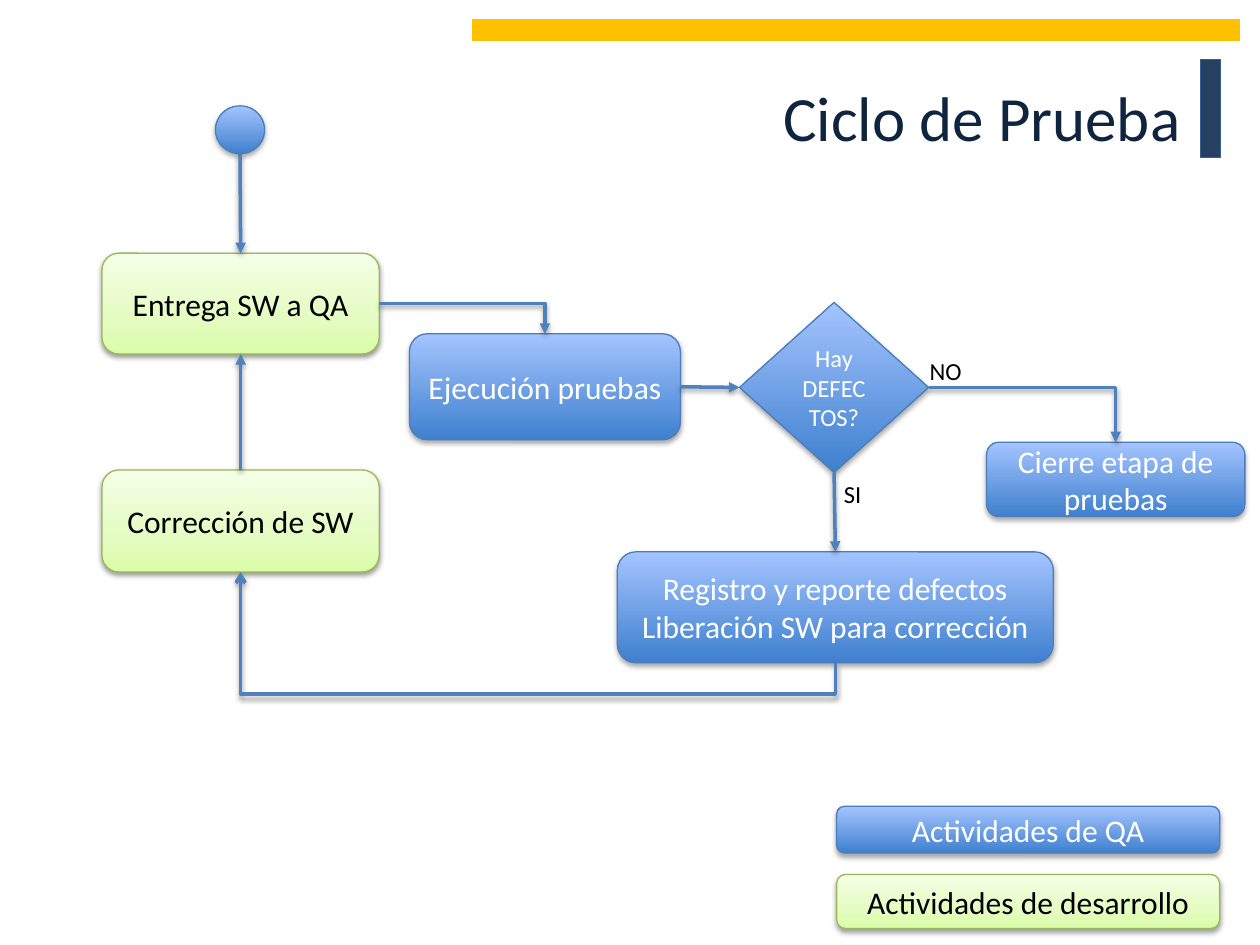
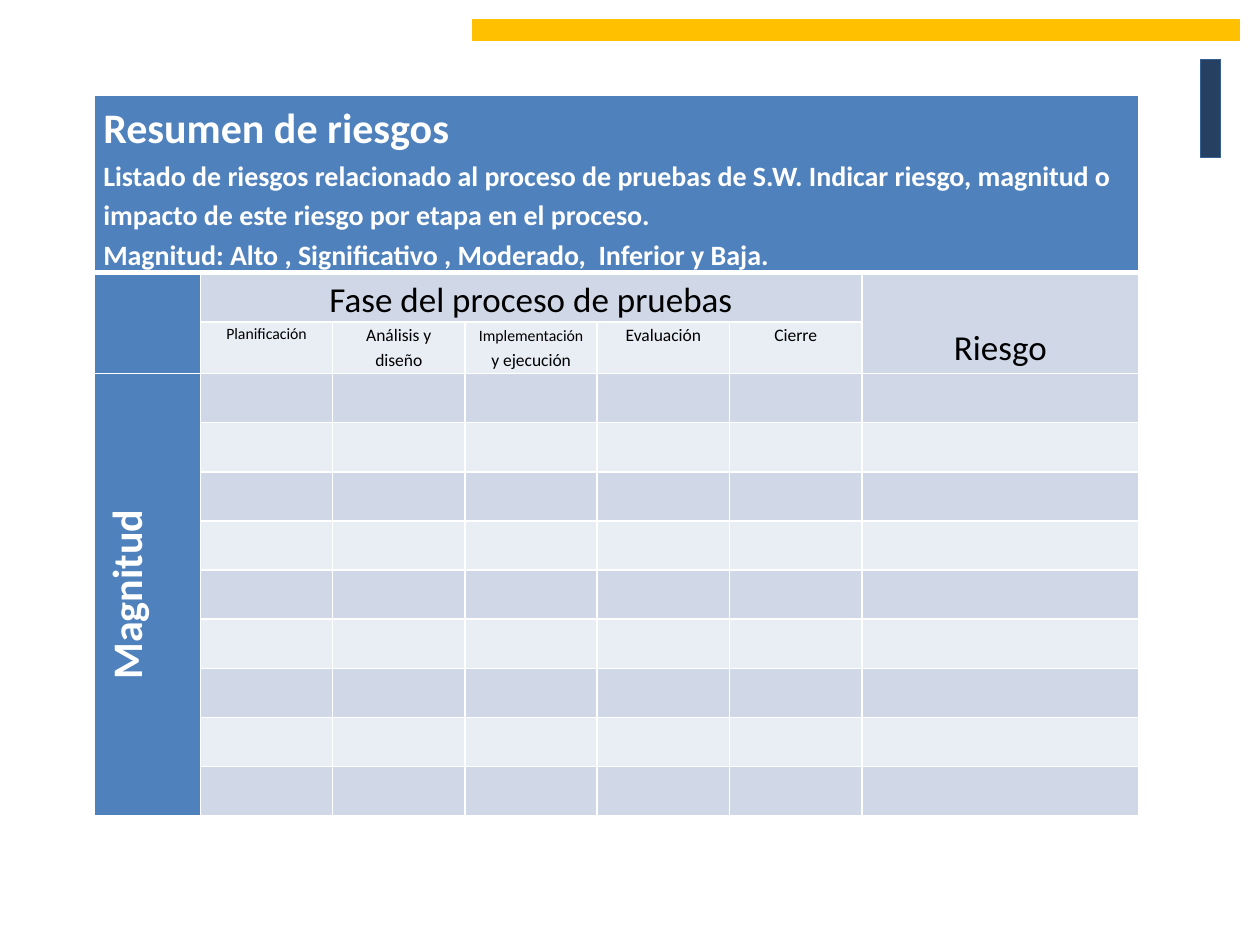
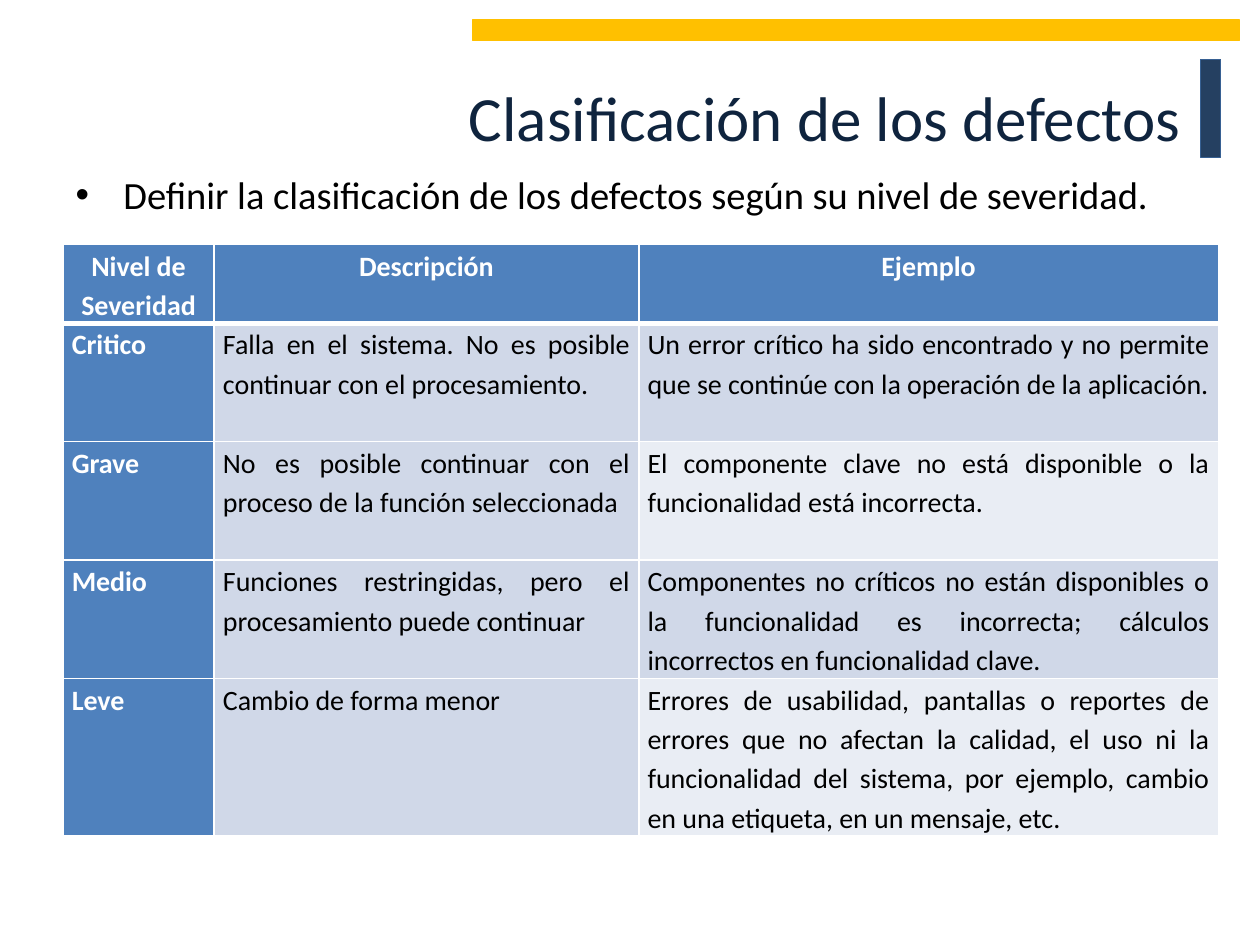
from dataclasses import dataclass

from lxml.etree import SubElement
from pptx import Presentation
from pptx.dml.color import RGBColor
from pptx.enum.shapes import MSO_CONNECTOR, MSO_SHAPE
from pptx.enum.text import MSO_ANCHOR, MSO_AUTO_SIZE, PP_ALIGN
from pptx.oxml.ns import qn
from pptx.util import Inches, Pt

TOP, LEFT, BOTTOM, RIGHT = range(4)


@dataclass(frozen=True)
class BoxStyle:
    stops: tuple
    line: str
    text: str
    shadow_alpha: int
    shadow_distance: float


@dataclass(frozen=True)
class Theme:
    font: str = "Calibri"
    title: str = "0F243E"
    ink: str = "000000"
    white: str = "FFFFFF"
    accent: str = "254061"
    accent_line: str = "376092"
    band: str = "FFC000"
    flow: str = "4F81BD"
    table_head: str = "4F81BD"
    table_dark: str = "D0D8E8"
    table_light: str = "E9EDF4"
    title_size: int = 36
    heading_size: int = 24
    bullet_size: int = 22
    group_size: int = 20
    box_size: int = 18
    cell_size: int = 16
    label_size: int = 14
    phase_size: int = 10
    long_phase_size: int = 9
    testing: BoxStyle = BoxStyle(
        ((0, "3F80CE"), (100, "A4C4FF")), "4B7EBC", "FFFFFF", 35, 1.8)
    development: BoxStyle = BoxStyle(
        ((0, "DAFDA7"), (35, "E4FCC2"), (100, "F5FFE7")), "98B955", "000000", 38, 1.6)


THEME = Theme()


def rgb(color):
    return RGBColor.from_string(color)


def add_color(parent, color):
    return SubElement(parent, qn("a:srgbClr"), val=color)


def add_shadow(effects, alpha, distance):
    shadow = SubElement(effects, qn("a:outerShdw"), blurRad=str(Pt(3.1)),
                        dist=str(Pt(distance)), dir="5400000", rotWithShape="0")
    SubElement(add_color(shadow, "000000"), qn("a:alpha"), val=str(alpha * 1000))


def write(frame, *lines, size, color=THEME.ink, bold=False, align=None, spacing=None):
    for index, line in enumerate(lines):
        para = frame.add_paragraph() if index else frame.paragraphs[0]
        para.alignment = align
        para.line_spacing = spacing
        pieces = [(line, size)] if isinstance(line, str) else line
        for text, piece_size in pieces:
            span = para.add_run()
            span.text = text
            span.font.name = THEME.font
            span.font.size = Pt(piece_size)
            span.font.bold = bold
            span.font.color.rgb = rgb(color)


class Slides:
    def __init__(self, theme):
        self.theme = theme
        self.deck = Presentation()
        self.deck.slide_width = Inches(10)
        self.deck.slide_height = Inches(7.5)
        self.page = None

    def start(self, layout):
        self.page = self.deck.slides.add_slide(self.deck.slide_layouts.get_by_name(layout))

    def place(self, kind, left, top, width, height):
        return self.page.shapes.add_shape(
            kind, Inches(left), Inches(top), Inches(width), Inches(height))

    def master_bar(self, left, top, width, height, fill, line):
        bar = self.place(MSO_SHAPE.RECTANGLE, left, top, width, height)
        bar.shadow.inherit = False
        bar.fill.solid()
        bar.fill.fore_color.rgb = rgb(fill)
        bar.line.color.rgb = rgb(line)
        bar.line.width = Pt(0.75)
        self.deck.slide_master.shapes.element.append(bar.element)

    def placeholder(self, box, left, top, width, height):
        box.left, box.top = Inches(left), Inches(top)
        box.width, box.height = Inches(width), Inches(height)
        return box.text_frame

    def title(self, text):
        frame = self.placeholder(self.page.shapes.title, 0.47, 0.3, 9, 1.25)
        frame.vertical_anchor = MSO_ANCHOR.MIDDLE
        write(frame, text, size=self.theme.title_size, color=self.theme.title,
              align=PP_ALIGN.RIGHT)

    def bullets(self, *lines):
        frame = self.placeholder(self.page.placeholders[1], 0.5, 1.31, 9, 4.95)
        write(frame, *lines, size=self.theme.bullet_size)
        for para in frame.paragraphs:
            properties = para._p.get_or_add_pPr()
            properties.set("marL", str(Inches(0.38)))
            properties.set("indent", str(-Inches(0.38)))

    def box(self, lines, left, top, width, height, style,
            kind=MSO_SHAPE.ROUNDED_RECTANGLE, size=THEME.box_size):
        box = self.place(kind, left, top, width, height)
        box.fill.gradient()
        box.fill.gradient_angle = 90
        stops = box.element.spPr.find(".//" + qn("a:gsLst"))
        for stop in list(stops):
            stops.remove(stop)
        for position, color in style.stops:
            add_color(SubElement(stops, qn("a:gs"), pos=str(position * 1000)), color)
        box.line.color.rgb = rgb(style.line)
        box.line.width = Pt(0.75)
        box.shadow.inherit = False
        add_shadow(box.element.spPr.find(qn("a:effectLst")),
                   style.shadow_alpha, style.shadow_distance)
        box.text_frame.word_wrap = True
        box.text_frame.vertical_anchor = MSO_ANCHOR.MIDDLE
        write(box.text_frame, *lines, size=size, color=style.text, align=PP_ALIGN.CENTER)
        return box

    def label(self, text, left, top, width, height):
        box = self.page.shapes.add_textbox(
            Inches(left), Inches(top), Inches(width), Inches(height))
        box.text_frame.word_wrap = False
        box.text_frame.auto_size = MSO_AUTO_SIZE.SHAPE_TO_FIT_TEXT
        write(box.text_frame, text, size=self.theme.label_size)

    def arrow(self, kind, head="triangle"):
        arrow = self.page.shapes.add_connector(kind, 0, 0, 0, 0)
        arrow.line.color.rgb = rgb(self.theme.flow)
        arrow.line.width = Pt(2)
        SubElement(arrow.line._get_or_add_ln(), qn("a:tailEnd"), type=head)
        add_shadow(SubElement(arrow.element.spPr, qn("a:effectLst")), 38, 1.6)
        return arrow

    def flow(self, source, source_side, target, target_side, kind=MSO_CONNECTOR.STRAIGHT):
        arrow = self.arrow(kind)
        arrow.begin_connect(source, source_side)
        arrow.end_connect(target, target_side)
        return arrow

    def corner(self, source, target):
        arrow = self.flow(source, RIGHT, target, TOP, MSO_CONNECTOR.ELBOW)
        arrow.element.spPr.find(qn("a:prstGeom")).set("prst", "bentConnector2")

    def start_flow(self, source, target):
        arrow = self.arrow(MSO_CONNECTOR.STRAIGHT)
        arrow.begin_x = source.left + source.width // 2
        arrow.begin_y = source.top + source.height
        arrow.end_connect(target, TOP)

    def return_flow(self, source, target, drop):
        arrow = self.arrow(MSO_CONNECTOR.ELBOW, "arrow")
        arrow.begin_connect(source, BOTTOM)
        arrow.end_connect(target, BOTTOM)
        across, rise = arrow.width, arrow.height
        arrow.left += (across - rise) // 2
        arrow.top += (rise - across) // 2
        arrow.width, arrow.height = rise, across
        transform = arrow.element.spPr.find(qn("a:xfrm"))
        transform.attrib.pop("flipV", None)
        transform.set("flipH", "1")
        transform.set("rot", "5400000")
        geometry = arrow.element.spPr.find(qn("a:prstGeom"))
        guides = geometry.find(qn("a:avLst"))
        if guides is None:
            guides = SubElement(geometry, qn("a:avLst"))
        ratio = round(-Inches(drop) / rise * 100000)
        SubElement(guides, qn("a:gd"), name="adj1", fmla=f"val {ratio}")

    def border(self, cell, row):
        properties = cell._tc.get_or_add_tcPr()
        widths = {"lnL": 1, "lnR": 1, "lnT": 3 if row == 1 else 1, "lnB": 1 if row else 3}
        for side, width in widths.items():
            line = SubElement(properties, qn(f"a:{side}"), w=str(Pt(width)))
            add_color(SubElement(line, qn("a:solidFill")), self.theme.white)

    def table(self, left, top, widths, heights, plain_columns=()):
        table = self.page.shapes.add_table(
            len(heights), len(widths), Inches(left), Inches(top),
            Inches(sum(widths)), Inches(sum(heights))).table
        table.first_row = table.horz_banding = False
        for column, width in zip(table.columns, widths):
            column.width = Inches(width)
        for row, height in enumerate(heights):
            table.rows[row].height = Inches(height)
            for column in range(len(widths)):
                cell = table.cell(row, column)
                cell.margin_left = cell.margin_right = Inches(0.07)
                cell.margin_top = cell.margin_bottom = 0
                self.border(cell, row)
                if row == 0 or column == 0:
                    fill = self.theme.table_head
                elif row % 2 or column in plain_columns:
                    fill = self.theme.table_dark
                else:
                    fill = self.theme.table_light
                cell.fill.solid()
                cell.fill.fore_color.rgb = rgb(fill)
        return table

    def cell(self, cell, *lines, header=False, size=THEME.cell_size, align=PP_ALIGN.CENTER):
        color = self.theme.white if header else self.theme.ink
        write(cell.text_frame, *lines, size=size, color=color, bold=header,
              align=align, spacing=1.15)


def test_cycle(slides):
    theme = slides.theme
    testing, development = theme.testing, theme.development
    slides.start("Title Only")
    slides.title("Ciclo de Prueba")
    delivery = slides.box(["Entrega SW a QA"], 0.81, 2.01, 2.2, 0.8, development)
    execution = slides.box(["Ejecución pruebas"], 3.25, 2.65, 2.15, 0.84, testing)
    correction = slides.box(["Corrección de SW"], 0.81, 3.73, 2.2, 0.81, development)
    report = slides.box(["Registro y reporte defectos", "Liberación SW para corrección"],
                        4.9, 4.38, 3.46, 0.88, testing)
    closing = slides.box(["Cierre etapa de pruebas"], 7.83, 3.51, 2.05, 0.59, testing)
    decision = slides.box(["Hay DEFECTOS?"], 5.87, 2.4, 1.5, 1.35, testing,
                          MSO_SHAPE.DIAMOND, theme.label_size)
    origin = slides.box([], 1.71, 0.84, 0.39, 0.38, testing, MSO_SHAPE.OVAL)

    slides.start_flow(origin, delivery)
    slides.corner(delivery, execution)
    slides.flow(execution, RIGHT, decision, LEFT)
    slides.corner(decision, closing)
    slides.flow(decision, BOTTOM, report, TOP)
    slides.return_flow(report, correction, 0.25)
    slides.flow(correction, TOP, delivery, BOTTOM)
    slides.label("NO", 7.28, 2.78, 0.46, 0.34)
    slides.label("SI", 6.6, 3.75, 0.34, 0.34)

    slides.box(["Actividades de QA"], 6.64, 6.4, 3.04, 0.37, testing)
    slides.box(["Actividades de desarrollo"], 6.64, 6.94, 3.04, 0.43, development)


def risk_summary(slides):
    theme = slides.theme
    slides.start("Blank")
    table = slides.table(0.75, 0.76, [0.84] + [1.05] * 5 + [2.2],
                         [1.4, 0.39, 0.41] + [0.39] * 9)
    for first, last in (((0, 0), (0, 6)), ((1, 0), (2, 0)), ((1, 1), (1, 5)),
                        ((1, 6), (2, 6)), ((3, 0), (11, 0))):
        table.cell(*first).merge(table.cell(*last))

    slides.cell(
        table.cell(0, 0),
        [("Resumen de riesgos", theme.heading_size)],
        "Listado de riesgos relacionado al proceso de pruebas de S.W. Indicar riesgo, "
        "magnitud o impacto de este riesgo por etapa en el proceso.",
        "Magnitud: Alto , Significativo , Moderado,  Inferior y Baja.",
        header=True, align=PP_ALIGN.LEFT)
    slides.cell(table.cell(1, 1), "Fase del proceso de pruebas", size=theme.group_size)
    risk = table.cell(1, 6)
    risk.vertical_anchor = MSO_ANCHOR.BOTTOM
    risk.margin_bottom = Inches(0.03)
    slides.cell(risk, "Riesgo", size=theme.group_size)

    phases = ([("Planificación", theme.long_phase_size)],
              "Análisis y diseño",
              [("Implementación", theme.long_phase_size), (" y ejecución", theme.phase_size)],
              "Evaluación",
              "Cierre")
    for column, phase in enumerate(phases, 1):
        slides.cell(table.cell(2, column), phase, size=theme.phase_size)

    magnitude = table.cell(3, 0)
    magnitude._tc.get_or_add_tcPr().set("vert", "vert270")
    slides.cell(magnitude, "Magnitud", header=True, size=theme.heading_size)


def defect_classes(slides):
    slides.start("Title and Content")
    slides.title("Clasificación de los defectos")
    slides.bullets("Definir la clasificación de los defectos según su nivel de severidad.")
    rows = (
        ("Nivel de Severidad", "Descripción", "Ejemplo"),
        ("Critico",
         "Falla en el sistema. No es posible continuar con el procesamiento.",
         "Un error crítico ha sido encontrado y no permite que se continúe con la "
         "operación de la aplicación."),
        ("Grave",
         "No es posible continuar con el proceso de la función seleccionada",
         "El componente clave no está disponible o la funcionalidad está incorrecta."),
        ("Medio",
         "Funciones restringidas, pero el procesamiento puede continuar",
         "Componentes no críticos no están disponibles o la funcionalidad es incorrecta; "
         "cálculos incorrectos en funcionalidad clave."),
        ("Leve",
         "Cambio de forma menor",
         "Errores de usabilidad, pantallas o reportes de errores que no afectan la calidad, "
         "el uso ni la funcionalidad del sistema, por ejemplo, cambio en una etiqueta, "
         "en un mensaje, etc."),
    )
    table = slides.table(0.5, 1.94, [1.2, 3.37, 4.6], [0.62] + [0.94] * 3 + [1.25],
                         plain_columns=(1,))
    for row, texts in enumerate(rows):
        for column, text in enumerate(texts):
            slides.cell(table.cell(row, column), text, header=row == 0 or column == 0,
                        align=PP_ALIGN.JUSTIFY if row else PP_ALIGN.CENTER)


def main():
    slides = Slides(THEME)
    test_cycle(slides)
    slides.master_bar(9.53, 0.47, 0.16, 0.78, THEME.accent, THEME.accent_line)
    slides.master_bar(3.75, 0.16, 6.09, 0.16, THEME.band, THEME.band)
    risk_summary(slides)
    defect_classes(slides)
    slides.deck.save("out.pptx")


if __name__ == "__main__":
    main()
